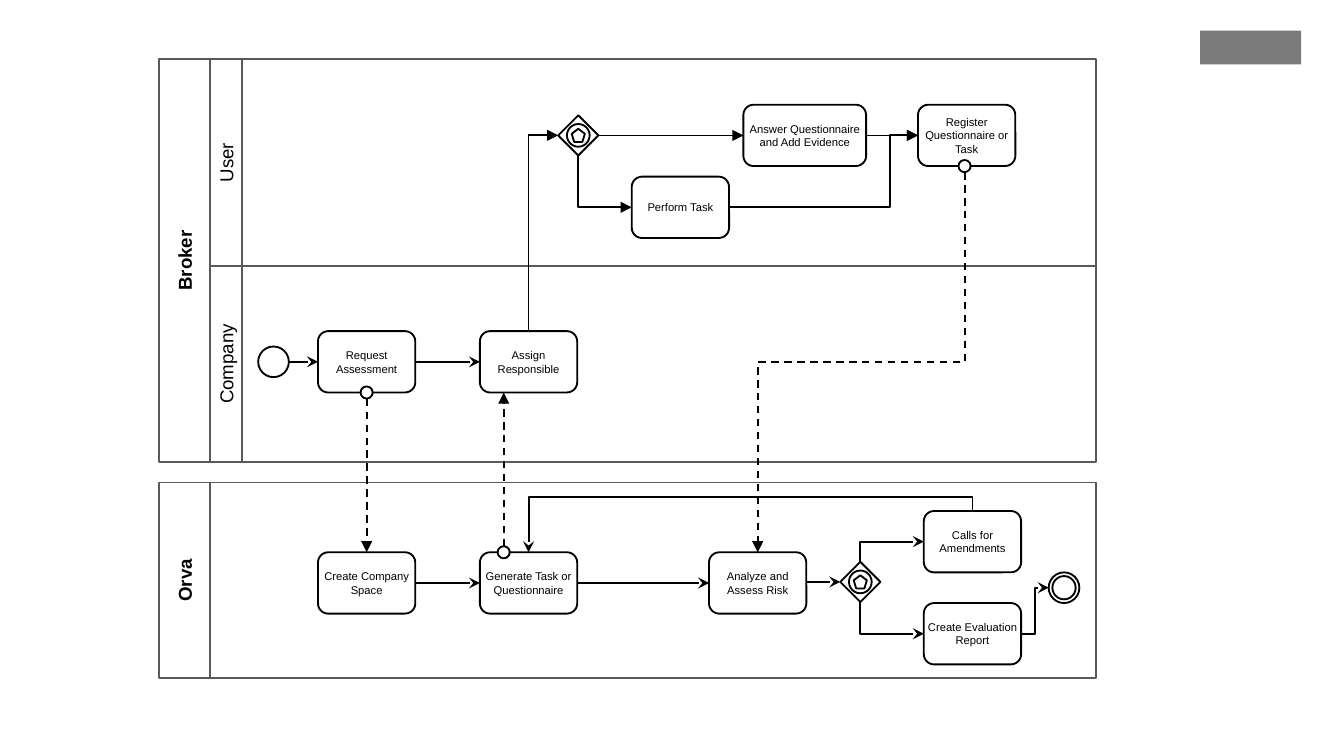
from lxml.etree import SubElement
from pptx import Presentation
from pptx.dml.color import RGBColor
from pptx.enum.dml import MSO_LINE
from pptx.enum.shapes import MSO_CONNECTOR, MSO_SHAPE
from pptx.enum.text import MSO_ANCHOR, PP_ALIGN
from pptx.oxml.ns import qn
from pptx.util import Cm, Pt

BLACK = RGBColor(0x00, 0x00, 0x00)
WHITE = RGBColor(0xFF, 0xFF, 0xFF)
LANE_GREY = RGBColor(0x59, 0x59, 0x59)
BLOCK_GREY = RGBColor(0x7A, 0x7A, 0x7A)

presentation = Presentation()
presentation.slide_width = Cm(25.4)
presentation.slide_height = Cm(14.29)
slide = presentation.slides.add_slide(presentation.slide_layouts[6])


def add_box(kind, left, top, width, height, text="", size=6, bold=False, line=BLACK):
    shape = slide.shapes.add_shape(kind, Cm(left), Cm(top), Cm(width), Cm(height))
    shape.shadow.inherit = False
    shape.fill.solid()
    shape.fill.fore_color.rgb = WHITE
    shape.line.color.rgb = line
    shape.line.width = Pt(1)
    if text:
        text_frame = shape.text_frame
        text_frame.text = text
        text_frame.word_wrap = True
        text_frame.vertical_anchor = MSO_ANCHOR.MIDDLE
        paragraph = text_frame.paragraphs[0]
        paragraph.alignment = PP_ALIGN.CENTER
        font = paragraph.runs[0].font
        font.name, font.size, font.bold = "Arial", Pt(size), bold
        font.color.rgb = BLACK
    return shape


def add_flow(start, end, head="stealth", bend=None, vertical=False, dashed=False):
    """bend: None is straight, "corner" is one turn, a number places the middle leg."""
    (x1, y1), (x2, y2) = start, end
    if vertical:
        # A quarter turn about the centre makes the first leg vertical
        middle_x, middle_y = (x1 + x2) / 2, (y1 + y2) / 2
        half_x, half_y = (y2 - y1) / 2, (x1 - x2) / 2
        x1, y1 = middle_x - half_x, middle_y - half_y
        x2, y2 = middle_x + half_x, middle_y + half_y
    kind = MSO_CONNECTOR.STRAIGHT if bend is None else MSO_CONNECTOR.ELBOW
    connector = slide.shapes.add_connector(kind, Cm(x1), Cm(y1), Cm(x2), Cm(y2))
    connector.line.color.rgb = BLACK
    connector.line.width = Pt(1)
    if dashed:
        connector.line.dash_style = MSO_LINE.DASH
    properties = connector._element.spPr
    if vertical:
        properties.find(qn("a:xfrm")).set("rot", "5400000")
    geometry = properties.find(qn("a:prstGeom"))
    if bend == "corner":
        geometry.set("prst", "bentConnector2")
    elif bend is not None:
        guide = SubElement(geometry.find(qn("a:avLst")), qn("a:gd"))
        guide.set("name", "adj1")
        guide.set("fmla", f"val {round(bend * 100000)}")
    SubElement(properties.find(qn("a:ln")), qn("a:tailEnd")).set("type", head)
    SubElement(properties, qn("a:effectLst"))


# Corner block
block = add_box(MSO_SHAPE.RECTANGLE, 22.68, 0.58, 1.91, 0.64)
block.fill.fore_color.rgb = BLOCK_GREY
block.line.fill.background()

# Pools and lanes: left, top, right, bottom, label, bold
POOL, LANE, FLOOR, RIGHT = 3, 3.97, 4.57, 20.72
for left, top, right, bottom, label, bold in [
    (POOL, 9.12, LANE, 12.82, "Orva", True),
    (LANE, 9.12, RIGHT, 12.82, "", False),
    (POOL, 1.12, LANE, 8.73, "Broker", True),
    (LANE, 1.12, FLOOR, 5.03, "User", False),
    (LANE, 5.03, FLOOR, 8.73, "Company", False),
    (FLOOR, 5.03, RIGHT, 8.73, "", False),
    (FLOOR, 1.12, RIGHT, 5.03, "", False),
]:
    lane = add_box(MSO_SHAPE.RECTANGLE, left, top, right - left, bottom - top,
                   label, 10, bold, LANE_GREY)
    if label:
        lane.text_frame._txBody.bodyPr.set("vert", "vert270")

# Tasks: centre x, centre y, width
USER_ROW, COMPANY_ROW, TOOL_ROW = 2.56, 6.84, 11.02
PERFORM_ROW, CALLS_ROW, REPORT_ROW = 3.92, 10.24, 11.98
REQUEST, ASSIGN, ANALYZE, CALLS = 6.93, 9.99, 14.32, 18.38
PERFORM, ANSWER, REGISTER = 12.86, 15.21, 18.27
WIDTH, HEIGHT = 1.84, 1.16
HALF_W, HALF_H = WIDTH / 2, HEIGHT / 2
for x, y, width, label in [
    (REQUEST, COMPANY_ROW, WIDTH, "Request Assessment"),
    (ASSIGN, COMPANY_ROW, WIDTH, "Assign Responsible"),
    (PERFORM, PERFORM_ROW, WIDTH, "Perform Task"),
    (REGISTER, USER_ROW, WIDTH, "Register Questionnaire or Task"),
    (ANSWER, USER_ROW, 2.32, "Answer Questionnaire and Add Evidence"),
    (REQUEST, TOOL_ROW, WIDTH, "Create Company Space"),
    (ASSIGN, TOOL_ROW, WIDTH, "Generate Task or Questionnaire"),
    (ANALYZE, TOOL_ROW, WIDTH, "Analyze and Assess Risk"),
    (CALLS, CALLS_ROW, WIDTH, "Calls for Amendments"),
    (CALLS, REPORT_ROW, WIDTH, "Create Evaluation Report"),
]:
    task = add_box(MSO_SHAPE.ROUNDED_RECTANGLE, x - width / 2, y - HALF_H, width, HEIGHT, label)
    text_frame = task.text_frame
    text_frame.margin_left = text_frame.margin_right = 0
    text_frame.margin_top = text_frame.margin_bottom = 0

# Gateways, start event and end event: kind, centre x, centre y, size
CHOICE, DECISION, DECISION_ROW = 10.93, 16.26, 11
START, END, END_ROW, EVENT = 5.17, 20.11, 11.11, 0.58
GATE = 0.38
symbols = [
    (kind, x, y, size)
    for x, y in [(CHOICE, USER_ROW), (DECISION, DECISION_ROW)]
    for kind, size in [(MSO_SHAPE.DIAMOND, 2 * GATE), (MSO_SHAPE.OVAL, 0.43),
                       (MSO_SHAPE.REGULAR_PENTAGON, 0.25)]
]
symbols += [(MSO_SHAPE.OVAL, START, COMPANY_ROW, EVENT),
            (MSO_SHAPE.OVAL, END, END_ROW, EVENT), (MSO_SHAPE.OVAL, END, END_ROW, 0.44)]
for kind, x, y, size in symbols:
    add_box(kind, x - size / 2, y - size / 2, size, size)

# Straight flows: row, from, to, arrowhead
for y, x1, x2, head in [
    (COMPANY_ROW, START + EVENT / 2, REQUEST - HALF_W, "stealth"),
    (COMPANY_ROW, REQUEST + HALF_W, ASSIGN - HALF_W, "stealth"),
    (USER_ROW, CHOICE + GATE, ANSWER - 1.16, "triangle"),
    (USER_ROW, ANSWER + 1.16, REGISTER - HALF_W, "triangle"),
    (TOOL_ROW, REQUEST + HALF_W, ASSIGN - HALF_W, "stealth"),
    (TOOL_ROW, ASSIGN + HALF_W, ANALYZE - HALF_W, "stealth"),
    (DECISION_ROW, ANALYZE + HALF_W, DECISION - GATE, "stealth"),
]:
    add_flow((x1, y), (x2, y), head)

# Bent flows: from, to, arrowhead, bend, vertical first leg
for flow in [
    ((PERFORM + HALF_W, PERFORM_ROW), (REGISTER - HALF_W, USER_ROW), "triangle", 0.85, False),
    ((CHOICE, USER_ROW + GATE), (PERFORM - HALF_W, PERFORM_ROW), "triangle", "corner", True),
    ((ASSIGN, COMPANY_ROW - HALF_H), (CHOICE - GATE, USER_ROW), "triangle", "corner", True),
    ((DECISION, DECISION_ROW - GATE), (CALLS - HALF_W, CALLS_ROW), "stealth", "corner", True),
    ((DECISION, DECISION_ROW + GATE), (CALLS - HALF_W, REPORT_ROW), "stealth", "corner", True),
    ((CALLS, CALLS_ROW - HALF_H), (ASSIGN, TOOL_ROW - HALF_H), "stealth", -0.34, True),
    ((CALLS + HALF_W, REPORT_ROW), (END - EVENT / 2, END_ROW), "stealth", 0.5, False),
]:
    add_flow(*flow)

# Message flows, each starting at a small circle
DOT = 0.23
for x, y, end, bend in [
    (REQUEST, COMPANY_ROW + HALF_H, (REQUEST, TOOL_ROW - HALF_H), None),
    (9.52, TOOL_ROW - HALF_H, (9.52, COMPANY_ROW + HALF_H), None),
    (18.23, USER_ROW + HALF_H, (ANALYZE, TOOL_ROW - HALF_H), 0.5),
]:
    edge = y + DOT / 2 if end[1] > y else y - DOT / 2
    add_flow((x, edge), end, "triangle", bend, bend is not None, True)
    add_box(MSO_SHAPE.OVAL, x - DOT / 2, y - DOT / 2, DOT, DOT)

presentation.save("out.pptx")
